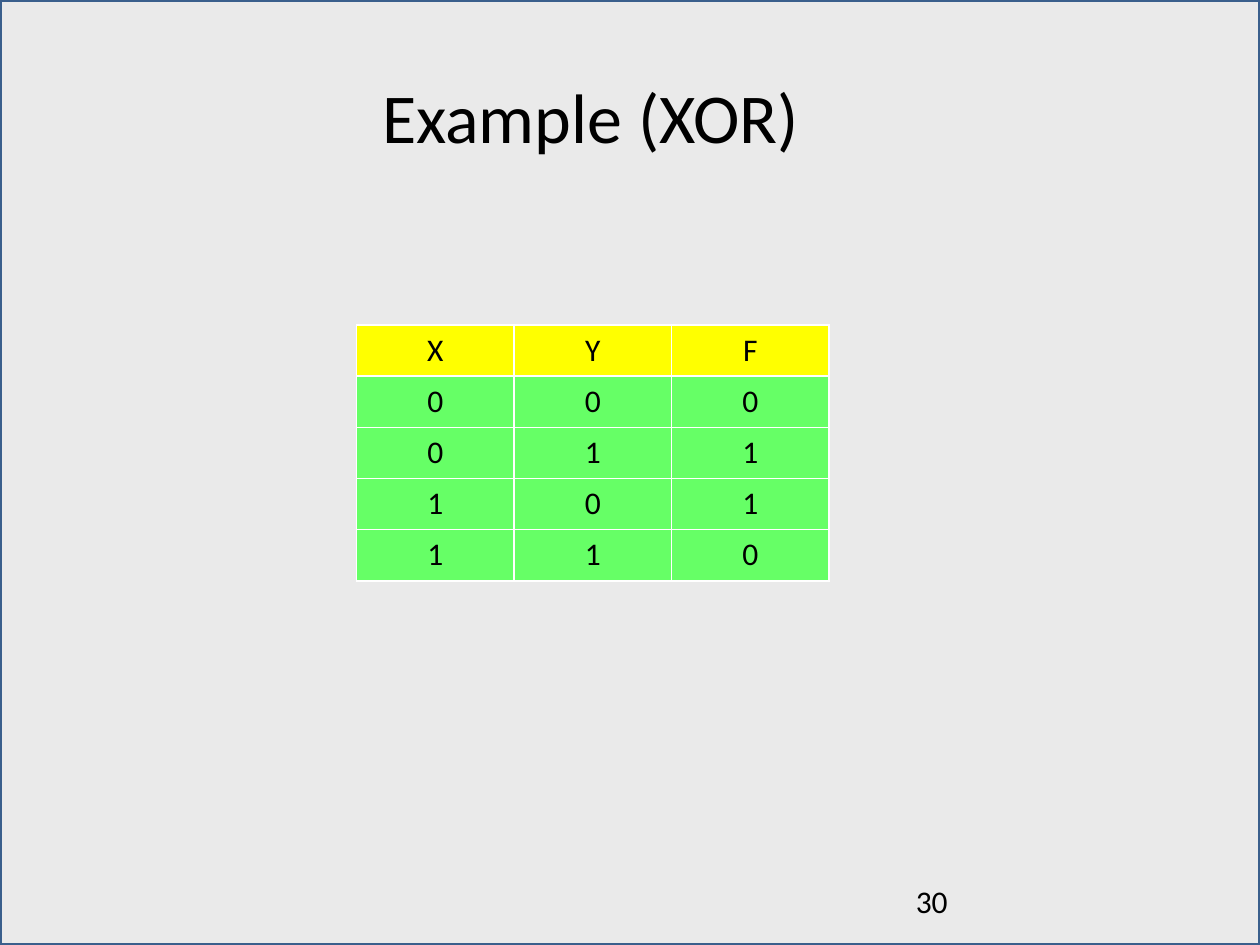
from pptx import Presentation
from pptx.dml.color import RGBColor
from pptx.enum import shapes, text
from pptx.util import Inches, Pt

BLACK = RGBColor(0x00, 0x00, 0x00)
PANEL_GREY = RGBColor(0xEA, 0xEA, 0xEA)
FRAME_BLUE = RGBColor(0x3A, 0x5F, 0x8C)
HEADER_YELLOW = RGBColor(0xFF, 0xFF, 0x00)
BODY_GREEN = RGBColor(0x66, 0xFF, 0x66)


class SlideBuilder:
    font = "Calibri"
    body_size = 18
    title_size = 40

    def __init__(self, slide):
        self.slide = slide

    def set_words(self, frame, words, size, align):
        frame.text = words
        paragraph = frame.paragraphs[0]
        paragraph.alignment = align
        for run in paragraph.runs:
            run.font.name = self.font
            run.font.size = Pt(size)
            run.font.bold = False
            run.font.color.rgb = BLACK

    def title(self, words, left, top, width, height):
        heading = self.slide.shapes.title
        heading.left, heading.top = Inches(left), Inches(top)
        heading.width, heading.height = Inches(width), Inches(height)
        self.set_words(heading.text_frame, words, self.title_size,
                       text.PP_ALIGN.CENTER)
        heading.text_frame.vertical_anchor = text.MSO_ANCHOR.MIDDLE

    def backdrop(self, width, height):
        panel = self.slide.shapes.add_shape(
            shapes.MSO_SHAPE.RECTANGLE, 0, 0, Inches(width), Inches(height))
        panel.shadow.inherit = False
        panel.fill.solid()
        panel.fill.fore_color.rgb = PANEL_GREY
        panel.line.color.rgb = FRAME_BLUE
        panel.line.width = Pt(2)
        self.slide.shapes.title.element.addprevious(panel.element)

    def truth_table(self, rows, left, top, width, height):
        grid = self.slide.shapes.add_table(
            len(rows), len(rows[0]), Inches(left), Inches(top),
            Inches(width), Inches(height)).table
        for r, values in enumerate(rows):
            for c, value in enumerate(values):
                cell = grid.cell(r, c)
                cell.fill.solid()
                cell.fill.fore_color.rgb = BODY_GREEN if r else HEADER_YELLOW
                self.set_words(cell.text_frame, str(value), self.body_size,
                               text.PP_ALIGN.CENTER)

    def label(self, words, left, top, width, height):
        frame = self.slide.shapes.add_textbox(
            Inches(left), Inches(top), Inches(width), Inches(height)).text_frame
        frame.word_wrap = True
        self.set_words(frame, words, self.body_size, text.PP_ALIGN.LEFT)


deck = Presentation()
deck.slide_width, deck.slide_height = Inches(10), Inches(7.5)
xor_slide = SlideBuilder(deck.slides.add_slide(deck.slide_layouts[5]))

xor_rows = [("X", "Y", "F")] + [(x, y, x ^ y) for x in (0, 1) for y in (0, 1)]

xor_slide.backdrop(10, 7.5)
xor_slide.title("Example (XOR) ", 0.5, 0.25, 8.5, 1.33)
xor_slide.truth_table(xor_rows, 2.83, 2.58, 3.75, 2.03)
xor_slide.label("30", 7.17, 6.95, 2.33, 0.4)

deck.save("out.pptx")
